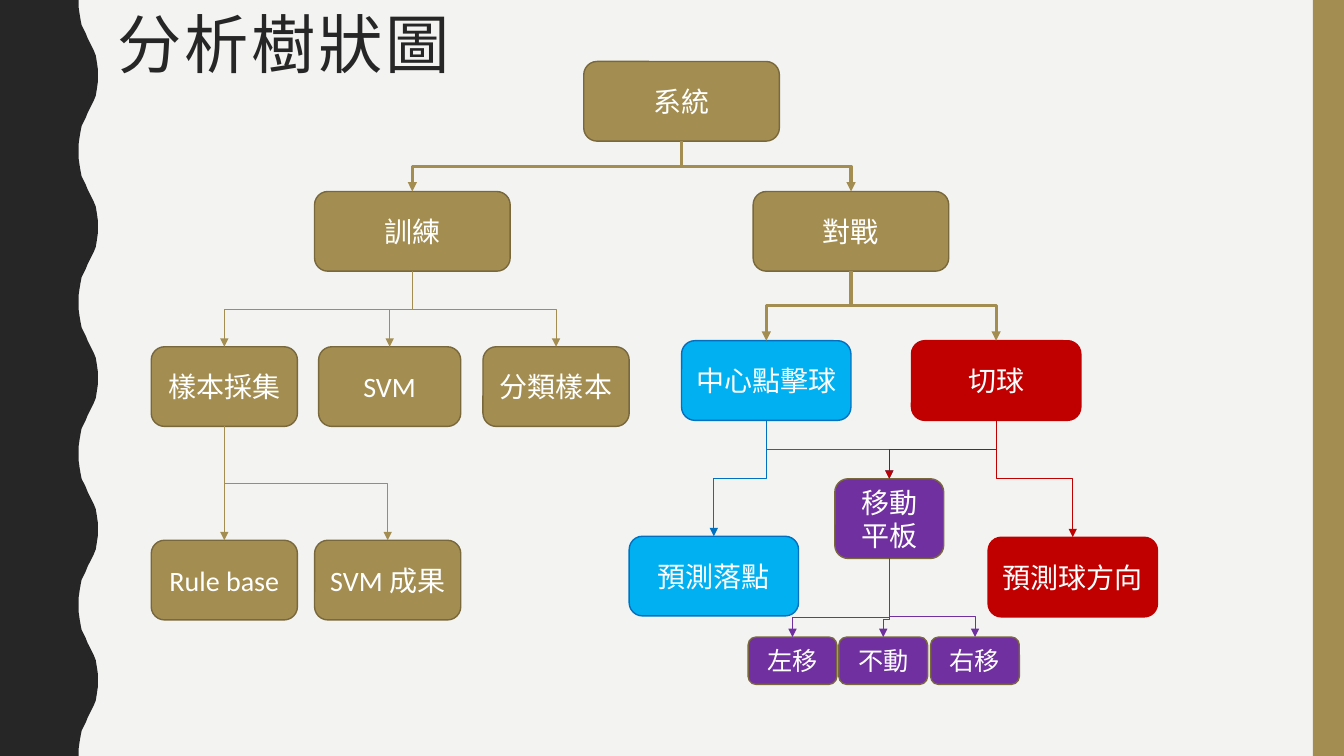
"""Build a slide with the tree diagram of a training and match system."""
import lxml.etree
import pptx
import pptx.dml.color
import pptx.enum.shapes
import pptx.enum.text
import pptx.oxml.ns
import pptx.util

RGBColor = pptx.dml.color.RGBColor
PAPER = RGBColor(0xF3, 0xF3, 0xF2)
INK = RGBColor(0x26, 0x26, 0x26)
WHITE = RGBColor(0xFF, 0xFF, 0xFF)
GOLD = RGBColor(0xA3, 0x8D, 0x51)
BRONZE = RGBColor(0x79, 0x68, 0x3C)
SKY = RGBColor(0x00, 0xB0, 0xF0)
BLUE = RGBColor(0x00, 0x70, 0xC0)
RED = RGBColor(0xC0, 0x00, 0x00)
PURPLE = RGBColor(0x70, 0x30, 0xA0)

SHAPE = pptx.enum.shapes.MSO_SHAPE
CONNECTOR = pptx.enum.shapes.MSO_CONNECTOR
ALIGN = pptx.enum.text.PP_ALIGN
ANCHOR = pptx.enum.text.MSO_ANCHOR
qn = pptx.oxml.ns.qn

SCALE = 9144
WIDTH, HEIGHT = 1333, 750
WAVE_PERIOD = 150
WAVE_RISE = [(78, 0), (78, 7), (79, 14), (80, 20), (81, 25), (83, 29), (85, 33), (87, 38),
             (89, 42), (91, 46), (93, 50), (95, 55), (96, 61), (97, 68), (97, 75)]

BOX_HEIGHT = 79
BOXES = [
    ("系統", 579, 61, 194, GOLD, BRONZE),
    ("訓練", 312, 190, 194, GOLD, BRONZE),
    ("對戰", 747, 190, 194, GOLD, BRONZE),
    ("樣本採集", 150, 344, 145, GOLD, BRONZE),
    ("SVM", 316, 344, 141, GOLD, BRONZE),
    ("分類樣本", 479, 344, 145, GOLD, BRONZE),
    ("中心點擊球", 676, 338, 168, SKY, BLUE),
    ("切球", 904, 338, 168, RED, RED),
    ("Rule base", 150, 536, 145, GOLD, BRONZE),
    ("SVM 成果", 312, 536, 145, GOLD, BRONZE),
    ("移動平板", 828, 475, 108, PURPLE, BRONZE),
    ("預測落點", 624, 532, 168, SKY, BLUE),
    ("預測球方向", 980, 533, 168, RED, RED),
]
MOVES = ["左移", "不動", "右移"]
LINKS = [
    ("系統", "訓練", GOLD, 2.25, 0.5),
    ("系統", "對戰", GOLD, 2.25, 0.5),
    ("訓練", "樣本採集", GOLD, 0.5, 0.5),
    ("訓練", "SVM", GOLD, 0.5, 0.5),
    ("訓練", "分類樣本", GOLD, 0.5, 0.5),
    ("樣本採集", "Rule base", GOLD, 0.5, 0.5),
    ("樣本採集", "SVM 成果", GOLD, 1, 0.5),
    ("對戰", "中心點擊球", GOLD, 2.25, 0.5),
    ("對戰", "切球", GOLD, 2.25, 0.5),
    ("中心點擊球", "預測落點", BLUE, 0.5, 0.5),
    ("中心點擊球", "移動平板", BLUE, 0.5, 0.5),
    ("切球", "移動平板", RED, 0.5, 0.5),
    ("切球", "預測球方向", RED, 0.5, 0.5),
    ("移動平板", "不動", PURPLE, 0.5, 0.78),
    ("移動平板", "左移", PURPLE, 0.5, 0.75),
    ("移動平板", "右移", PURPLE, 0.5, 0.74),
]


def px(length):
    """Turn a length in px into EMU."""
    return pptx.util.Emu(round(length * SCALE))


def apply(target, values):
    """Set each named value on the target."""
    for name, value in values.items():
        setattr(target, name, value)


class TreeSlide:
    """Holds the text style and the current page."""

    def __init__(self, page, font):
        """Start on a page with one font for the boxes."""
        self.page = page
        self.font = font
        page.background.fill.solid()
        page.background.fill.fore_color.rgb = PAPER

    def paint(self, shape, fill, outline=None):
        """Give a shape its flat fill and its outline."""
        shape.shadow.inherit = False
        shape.fill.solid()
        shape.fill.fore_color.rgb = fill
        if outline is None:
            shape.line.fill.background()
        else:
            shape.line.color.rgb = outline
            shape.line.width = pptx.util.Pt(1)

    def title(self, text, left, top, width, height):
        """Place and format the title placeholder."""
        title = self.page.shapes.title
        apply(title, {"left": px(left), "top": px(top), "width": px(width), "height": px(height)})
        apply(title.text_frame, {"vertical_anchor": ANCHOR.MIDDLE, "word_wrap": True,
                                 "auto_size": pptx.enum.text.MSO_AUTO_SIZE.NONE})
        para = title.text_frame.paragraphs[0]
        apply(para, {"alignment": ALIGN.LEFT, "line_spacing": 0.9})
        span = para.add_run()
        span.text = text
        apply(span.font, {"name": "Roboto Condensed", "size": pptx.util.Pt(45.9)})
        span.font.color.rgb = INK
        span.font._element.set("spc", "200")

    def wavy_band(self):
        """Draw the dark band with a wavy right edge."""
        fall = [(x, WAVE_PERIOD - y) for x, y in reversed(WAVE_RISE[:-1])]
        edge = [(x, y + start) for start in range(0, HEIGHT, WAVE_PERIOD)
                for x, y in WAVE_RISE + fall]
        builder = self.page.shapes.build_freeform(0, 0, scale=SCALE)
        builder.add_line_segments(edge + [(0, HEIGHT)], close=True)
        self.paint(builder.convert_to_shape(), INK)

    def side_bar(self, left, width):
        """Draw the plain bar over the full height."""
        bar = self.page.shapes.add_shape(SHAPE.RECTANGLE, px(left), 0, px(width), px(HEIGHT))
        self.paint(bar, GOLD)

    def box(self, text, left, top, width, fill, outline, height=BOX_HEIGHT, size=20):
        """Draw a rounded box with centred text."""
        box = self.page.shapes.add_shape(
            SHAPE.ROUNDED_RECTANGLE, px(left), px(top), px(width), px(height))
        self.paint(box, fill, outline)
        apply(box.text_frame, {"word_wrap": True, "vertical_anchor": ANCHOR.MIDDLE})
        para = box.text_frame.paragraphs[0]
        para.alignment = ALIGN.CENTER
        span = para.add_run()
        span.text = text
        apply(span.font, {"name": self.font, "size": pptx.util.Pt(size)})
        span.font.color.rgb = WHITE
        return box

    def link(self, parent, child, color, weight, bend):
        """Draw an arrow from the foot of one box to the head of another."""
        start_x, start_y = parent.left + parent.width // 2, parent.top + parent.height
        end_x, end_y = child.left + child.width // 2, child.top
        across, down = end_x - start_x, end_y - start_y
        straight = abs(across) < px(1)
        kind = CONNECTOR.STRAIGHT if straight else CONNECTOR.ELBOW
        arrow = self.page.shapes.add_connector(kind, start_x, start_y, end_x, end_y)
        arrow.begin_connect(parent, 2)
        arrow.end_connect(child, 0)
        properties = arrow._element.spPr
        if not straight:
            frame = properties.find(qn("a:xfrm"))
            for flip in ("flipH", "flipV"):
                frame.attrib.pop(flip, None)
            frame.set("rot", "16200000" if across > 0 else "5400000")
            if across > 0:
                frame.set("flipH", "1")
            apply(arrow, {"left": (start_x + end_x - down) // 2,
                          "top": (start_y + end_y - abs(across)) // 2,
                          "width": down, "height": abs(across)})
            guides = properties.find(qn("a:prstGeom")).find(qn("a:avLst"))
            lxml.etree.SubElement(guides, qn("a:gd"), name="adj1", fmla=f"val {round(bend * 100000)}")
        arrow.line.color.rgb = color
        arrow.line.width = pptx.util.Pt(weight)
        lxml.etree.SubElement(properties.find(qn("a:ln")), qn("a:tailEnd"), type="triangle")
        lxml.etree.SubElement(properties, qn("a:effectLst"))


def main():
    """Build the deck and save it."""
    deck = pptx.Presentation()
    apply(deck, {"slide_width": px(WIDTH), "slide_height": px(HEIGHT)})
    tree = TreeSlide(deck.slides.add_slide(deck.slide_layouts[5]), "Calibri")
    tree.wavy_band()
    tree.side_bar(1302, 31)
    tree.title("分析樹狀圖", 107, 14, 1105, 66)
    boxes = {row[0]: tree.box(*row) for row in BOXES}
    for column, move in enumerate(MOVES):
        boxes[move] = tree.box(move, 742 + round(90.5 * column), 632, 88, PURPLE, BRONZE,
                               height=47, size=18)
    for parent, child, color, weight, bend in LINKS:
        tree.link(boxes[parent], boxes[child], color, weight, bend)
    deck.save("out.pptx")


if __name__ == "__main__":
    main()
